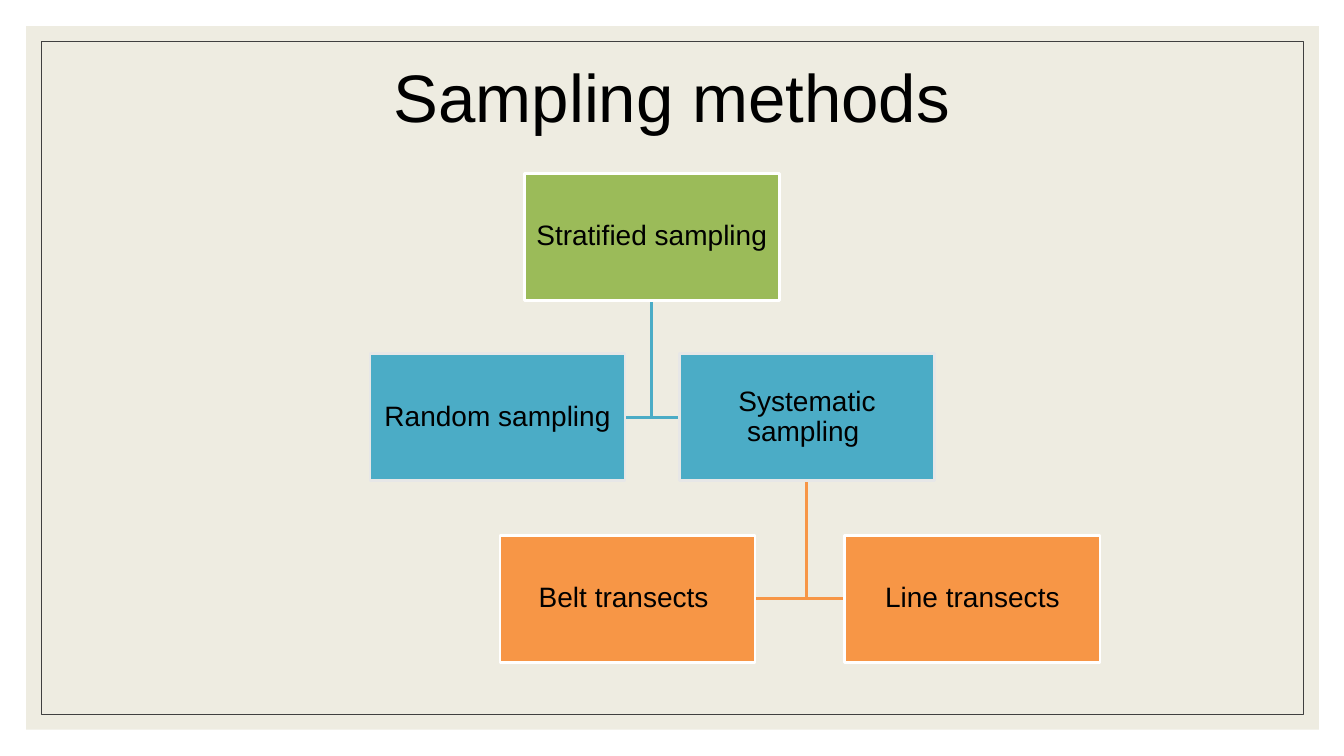
from dataclasses import dataclass

import pptx
import pptx.dml.color
import pptx.enum.shapes
import pptx.enum.text
import pptx.util

PX = 9144  # EMU per px, 100 px to the inch
BOX_WIDTH, BOX_HEIGHT = 253, 126
GREEN, BLUE, ORANGE = "9BBB59", "4BACC6", "F79646"
WHITE, PALE, BLACK = "FFFFFF", "E7E7E7", "000000"


@dataclass(frozen=True)
class Method:
    label: str
    left: int
    top: int
    fill: str
    border: str = WHITE


STRATIFIED = Method("Stratified sampling", 520, 172, GREEN)
RANDOM = Method("Random sampling", 367, 351, BLUE, PALE)
SYSTEMATIC = Method("Systematic sampling ", 674, 351, BLUE, PALE)
LINE = Method("Line transects", 838, 531, ORANGE)
BELT = Method("Belt transects ", 496, 531, ORANGE)

METHODS = [STRATIFIED, RANDOM, SYSTEMATIC, LINE, BELT]
BRANCHES = [(SYSTEMATIC, BELT), (SYSTEMATIC, LINE),
            (STRATIFIED, SYSTEMATIC), (STRATIFIED, RANDOM)]


def colour(value: str) -> pptx.dml.color.RGBColor:
    return pptx.dml.color.RGBColor.from_string(value)


def style_shape(shape, fill: str | None, line: str | None, width: float = 2) -> None:
    shape.shadow.inherit = False
    if fill:
        shape.fill.solid()
        shape.fill.fore_color.rgb = colour(fill)
    else:
        shape.fill.background()
    if line:
        shape.line.color.rgb = colour(line)
        shape.line.width = pptx.util.Pt(width)
    else:
        shape.line.fill.background()


def add_rectangle(page, left: int, top: int, width: int, height: int):
    return page.shapes.add_shape(
        pptx.enum.shapes.MSO_SHAPE.RECTANGLE,
        left * PX, top * PX, width * PX, height * PX)


def write_text(frame, text: str, size: int):
    frame.word_wrap = True
    para = frame.paragraphs[0]
    para.text = text
    para.alignment = pptx.enum.text.PP_ALIGN.CENTER
    para.font.name = "Arial"
    para.font.size = pptx.util.Pt(size)
    para.font.color.rgb = colour(BLACK)
    return para


def add_branch(page, parent: Method, child: Method) -> None:
    """Elbow from the parent's bottom to the child's nearer side."""
    trunk = parent.left + BOX_WIDTH / 2
    middle = child.top + BOX_HEIGHT / 2
    side = child.left if child.left > trunk else child.left + BOX_WIDTH
    builder = page.shapes.build_freeform(trunk, parent.top + BOX_HEIGHT, scale=PX)
    builder.add_line_segments([(trunk, middle), (side, middle)], close=False)
    style_shape(builder.convert_to_shape(), None, child.fill)


def add_method(page, method: Method) -> None:
    box = add_rectangle(page, method.left, method.top, BOX_WIDTH, BOX_HEIGHT)
    style_shape(box, method.fill, method.border)
    frame = box.text_frame
    frame.margin_left = frame.margin_right = PX
    frame.margin_top = frame.margin_bottom = PX
    frame.vertical_anchor = pptx.enum.text.MSO_ANCHOR.MIDDLE
    para = write_text(frame, method.label, 20)
    para.line_spacing = 0.9
    para.space_after = pptx.util.Pt(7)


def main() -> None:
    deck = pptx.Presentation()
    deck.slide_width, deck.slide_height = 1333 * PX, 750 * PX
    page = deck.slides.add_slide(deck.slide_layouts[6])

    # Background panel and thin frame
    style_shape(add_rectangle(page, 26, 26, 1282, 698), "EEECE1", None)
    style_shape(add_rectangle(page, 41, 41, 1252, 668), None, "404040", 0.5)

    # Title
    title = page.shapes.add_textbox(300 * PX, 50 * PX, 733 * PX, 90 * PX)
    write_text(title.text_frame, "Sampling methods", 48)

    # Hierarchy: branches behind the boxes
    for parent, child in BRANCHES:
        add_branch(page, parent, child)
    for method in METHODS:
        add_method(page, method)

    deck.save("out.pptx")


if __name__ == "__main__":
    main()
